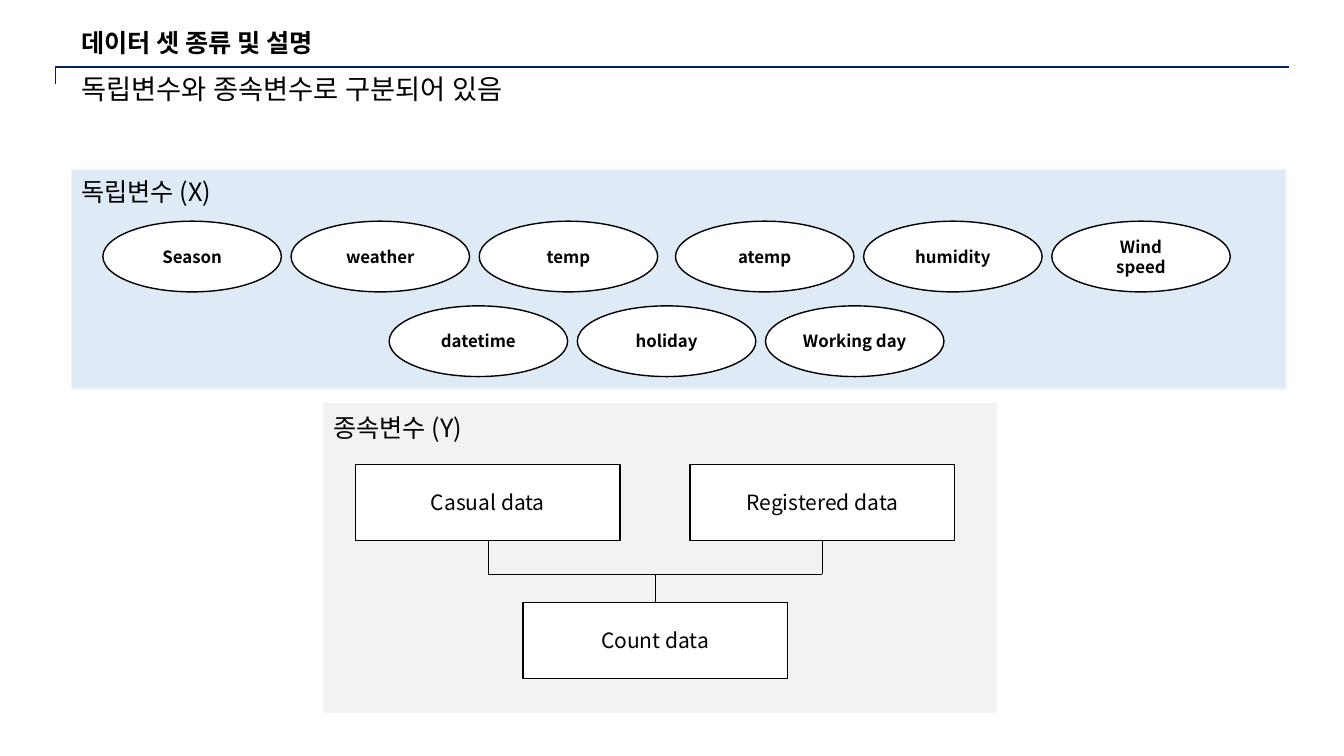
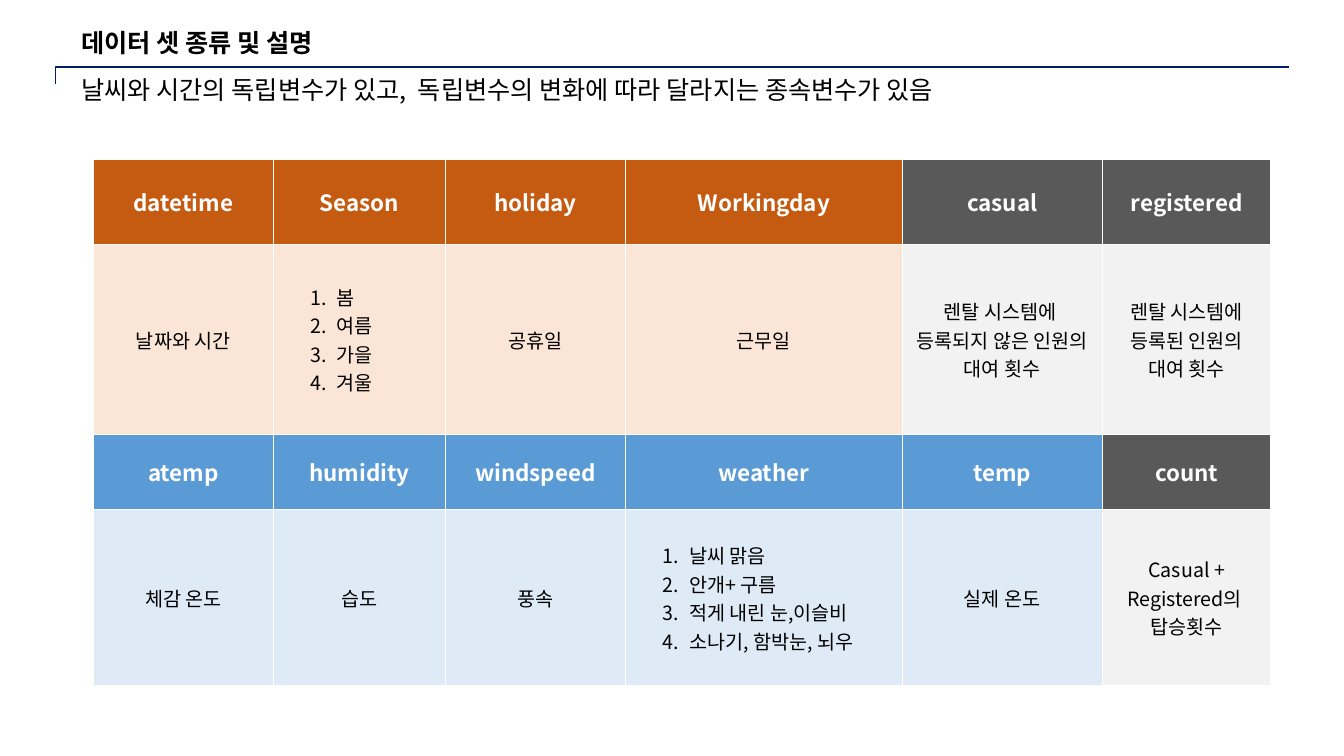
import pptx
import pptx.dml.color
import pptx.enum.shapes
import pptx.enum.text
import pptx.oxml.ns
import pptx.util
from lxml import etree

Pt = pptx.util.Pt
qn = pptx.oxml.ns.qn
SHAPE = pptx.enum.shapes.MSO_SHAPE
LEFT = pptx.enum.text.PP_ALIGN.LEFT
CENTER = pptx.enum.text.PP_ALIGN.CENTER
MIDDLE = pptx.enum.text.MSO_ANCHOR.MIDDLE
TOP = pptx.enum.text.MSO_ANCHOR.TOP

FONT = "Noto Sans CJK KR"
BLACK, WHITE, NAVY = "000000", "FFFFFF", "002060"
ORANGE, PEACH = "C55A11", "FBE5D6"
BLUE, PALE_BLUE = "5B9BD5", "DEEBF7"
GRAY, PALE_GRAY = "595959", "F2F2F2"


def color(hex_code):
    return pptx.dml.color.RGBColor.from_string(hex_code)


def write(text_frame, text, size, bold=False, ink=BLACK, align=CENTER, anchor=MIDDLE, spacing=None):
    """Fill a text frame: one paragraph per line, \\v for a break inside a paragraph."""
    text_frame.text = text
    text_frame.word_wrap = True
    text_frame.vertical_anchor = anchor
    for paragraph in text_frame.paragraphs:
        paragraph.alignment = align
        paragraph.line_spacing = spacing
        font = paragraph.font
        font.name, font.size, font.bold = FONT, Pt(size), bold
        font.color.rgb = color(ink)
        properties = paragraph._p.pPr.find(qn("a:defRPr"))
        etree.SubElement(properties, qn("a:ea"), typeface=FONT)


presentation = pptx.Presentation()
presentation.slide_width, presentation.slide_height = Pt(960), Pt(540)

# Title, header rule and subtitle on both slides
subtitles = [
    ("독립변수와 종속변수로 구분되어 있음", 19.5, 0.8),
    ("날씨와 시간의 독립변수가 있고,  독립변수의 변화에 따라 달라지는 종속변수가 있음", 18, 0.9),
]
for subtitle, size, spacing in subtitles:
    slide = presentation.slides.add_slide(presentation.slide_layouts[5])
    title = slide.shapes.title
    title.left, title.top, title.width, title.height = Pt(51), Pt(17), Pt(254), Pt(29)
    write(title.text_frame, "데이터 셋 종류 및 설명", 18, bold=True, align=LEFT, spacing=0.9)
    title.text_frame.auto_size = pptx.enum.text.MSO_AUTO_SIZE.NONE

    builder = slide.shapes.build_freeform(Pt(39.5), Pt(60))
    builder.add_line_segments([(Pt(39.5), Pt(48)), (Pt(921), Pt(48))], close=False)
    rule = builder.convert_to_shape()
    rule.shadow.inherit = False
    rule.fill.background()
    rule.line.color.rgb = color(NAVY)
    rule.line.width = Pt(1)

    box = slide.shapes.add_textbox(Pt(51), Pt(51), Pt(746), Pt(29))
    write(box.text_frame, subtitle, size, align=LEFT, spacing=spacing)

variables_slide, table_slide = presentation.slides

# Slide 1: panels, variables and the sum of the dependent data
shapes = variables_slide.shapes
figures = [
    (SHAPE.RECTANGLE, 51, 121, 867.5, 157, PALE_BLUE, PALE_GRAY, "", 12, False),
    (SHAPE.RECTANGLE, 231, 288, 481, 220.5, PALE_GRAY, PALE_GRAY, "", 12, False),
]
trios = [
    (73.5, 158, ["Season", "weather", "temp"]),
    (482.5, 158, ["atemp", "humidity", "Wind\vspeed"]),
    (278, 218.5, ["datetime", "holiday", "Working day"]),
]
for left, top, names in trios:
    for index, name in enumerate(names):
        figures.append((SHAPE.OVAL, left + index * 134.4, top, 127.5, 50.5, WHITE, BLACK, name, 12, True))
for left, top, name in [(254, 332, "Casual data"), (493, 332, "Registered data"), (373.5, 430.5, "Count data")]:
    figures.append((SHAPE.RECTANGLE, left, top, 189, 54, WHITE, BLACK, name, 15, False))

drawn = {}
for kind, left, top, width, height, fill, outline, text, size, bold in figures:
    shape = shapes.add_shape(kind, Pt(left), Pt(top), Pt(width), Pt(height))
    shape.shadow.inherit = False
    shape.fill.solid()
    shape.fill.fore_color.rgb = color(fill)
    shape.line.color.rgb = color(outline)
    shape.line.width = Pt(1)
    if text:
        write(shape.text_frame, text, size, bold)
        drawn[text] = shape

for left, top, label in [(51, 122.5, "독립변수 (X)"), (231, 291, "종속변수 (Y)")]:
    box = shapes.add_textbox(Pt(left), Pt(top), Pt(135), Pt(29))
    write(box.text_frame, label, 18, align=LEFT, anchor=TOP)

casual_x, count_x, registered_x, bus_y = 348.5, 468, 587.5, 410
links = [
    (casual_x, 386, casual_x, bus_y, "Casual data", None),
    (registered_x, 386, registered_x, bus_y, "Registered data", None),
    (casual_x, bus_y, registered_x, bus_y, None, None),
    (count_x, bus_y, count_x, 430.5, None, "Count data"),
]
for x1, y1, x2, y2, source, target in links:
    connector = shapes.add_connector(
        pptx.enum.shapes.MSO_CONNECTOR.STRAIGHT, Pt(x1), Pt(y1), Pt(x2), Pt(y2))
    if source:
        connector.begin_connect(drawn[source], 2)
    if target:
        connector.end_connect(drawn[target], 0)
    connector.line.color.rgb = color(BLACK)
    connector.line.width = Pt(0.5)
    etree.SubElement(connector._element.spPr, qn("a:effectLst"))

# Slide 2: table of variables; a list in a cell becomes a numbered list
column_widths = [129, 122.5, 129, 197.5, 143, 120.5]
row_heights = [60.5, 136, 53.5, 126]
rows = [
    ["datetime", "Season", "holiday", "Workingday", "casual", "registered"],
    ["날짜와 시간", ["봄", "여름", "가을", "겨울"], "공휴일", "근무일",
     "렌탈 시스템에 \v등록되지 않은 인원의 대여 횟수", "렌탈 시스템에 등록된 인원의 대여 횟수"],
    ["atemp", "humidity", "windspeed", "weather", "temp", "count"],
    ["체감 온도", "습도", "풍속", ["날씨 맑음", "안개+ 구름", "적게 내린 눈,이슬비", "소나기, 함박눈, 뇌우"],
     "실제 온도", "Casual +\nRegistered의 \v탑승횟수"],
]
row_fills = [
    [ORANGE] * 4 + [GRAY] * 2,
    [PEACH] * 4 + [PALE_GRAY] * 2,
    [BLUE] * 5 + [GRAY],
    [PALE_BLUE] * 5 + [PALE_GRAY],
]
table = table_slide.shapes.add_table(
    len(rows), len(column_widths), Pt(66.5), Pt(114), Pt(sum(column_widths)), Pt(sum(row_heights))).table
table.horz_banding = False
for column, width in zip(table.columns, column_widths):
    column.width = Pt(width)
for row_index, (row, height) in enumerate(zip(table.rows, row_heights)):
    row.height = Pt(height)
    is_header = row_index % 2 == 0
    size, ink = (16, WHITE) if is_header else (14, BLACK)
    for cell, content, fill in zip(row.cells, rows[row_index], row_fills[row_index]):
        cell.fill.solid()
        cell.fill.fore_color.rgb = color(fill)
        cell.vertical_anchor = MIDDLE
        numbered = isinstance(content, list)
        text = "\n".join(content) if numbered else content
        write(cell.text_frame, text, size, is_header, ink, LEFT if numbered else CENTER)
        if numbered:
            for paragraph in cell.text_frame.paragraphs:
                properties = paragraph._p.pPr
                properties.set("marL", str(Pt(38)))
                properties.set("indent", str(-Pt(19)))
                numbering = etree.Element(qn("a:buAutoNum"), type="arabicPeriod")
                properties.find(qn("a:defRPr")).addprevious(numbering)

presentation.save("out.pptx")
